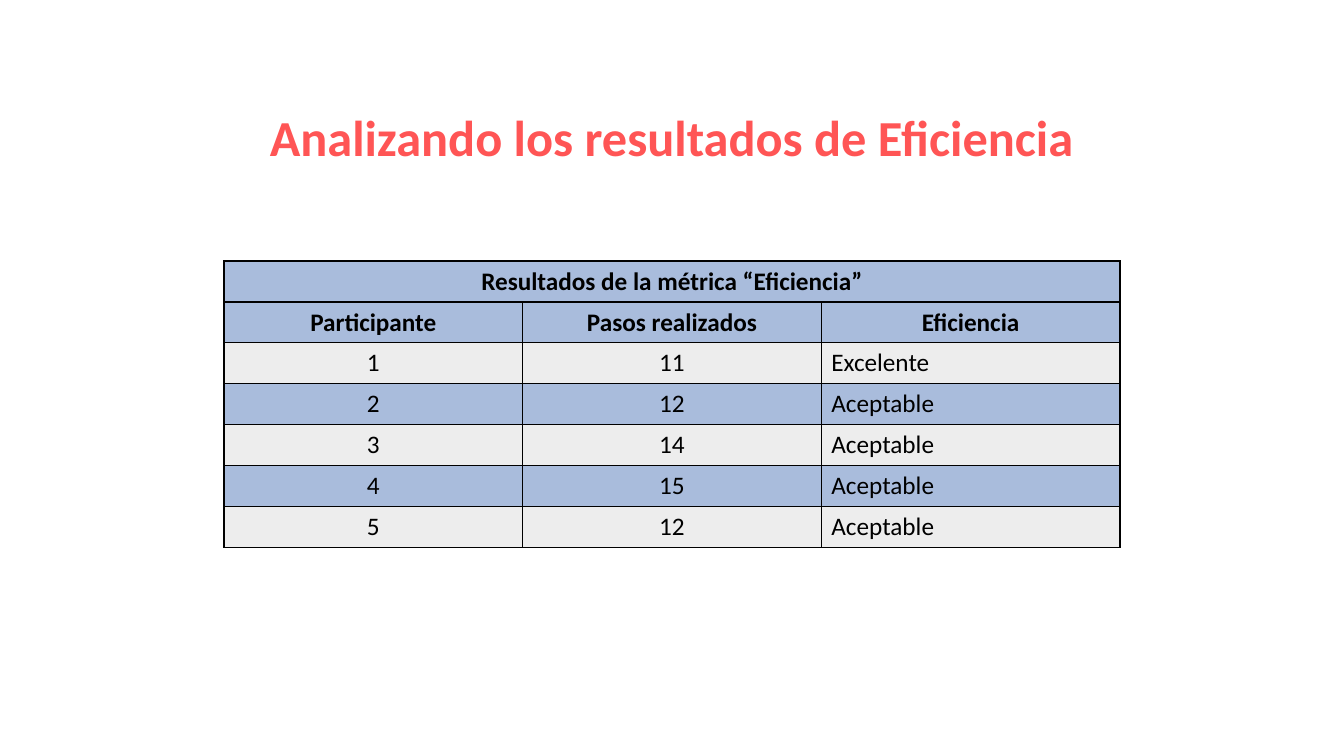
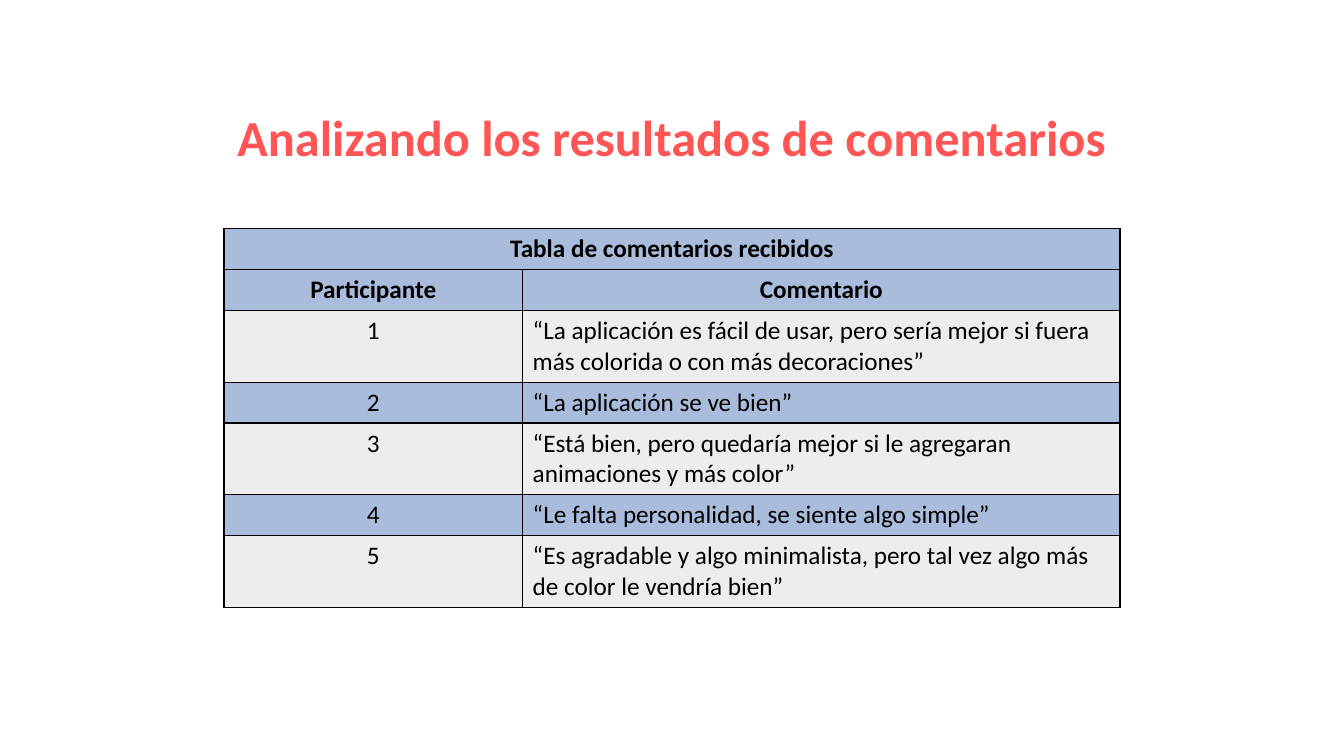
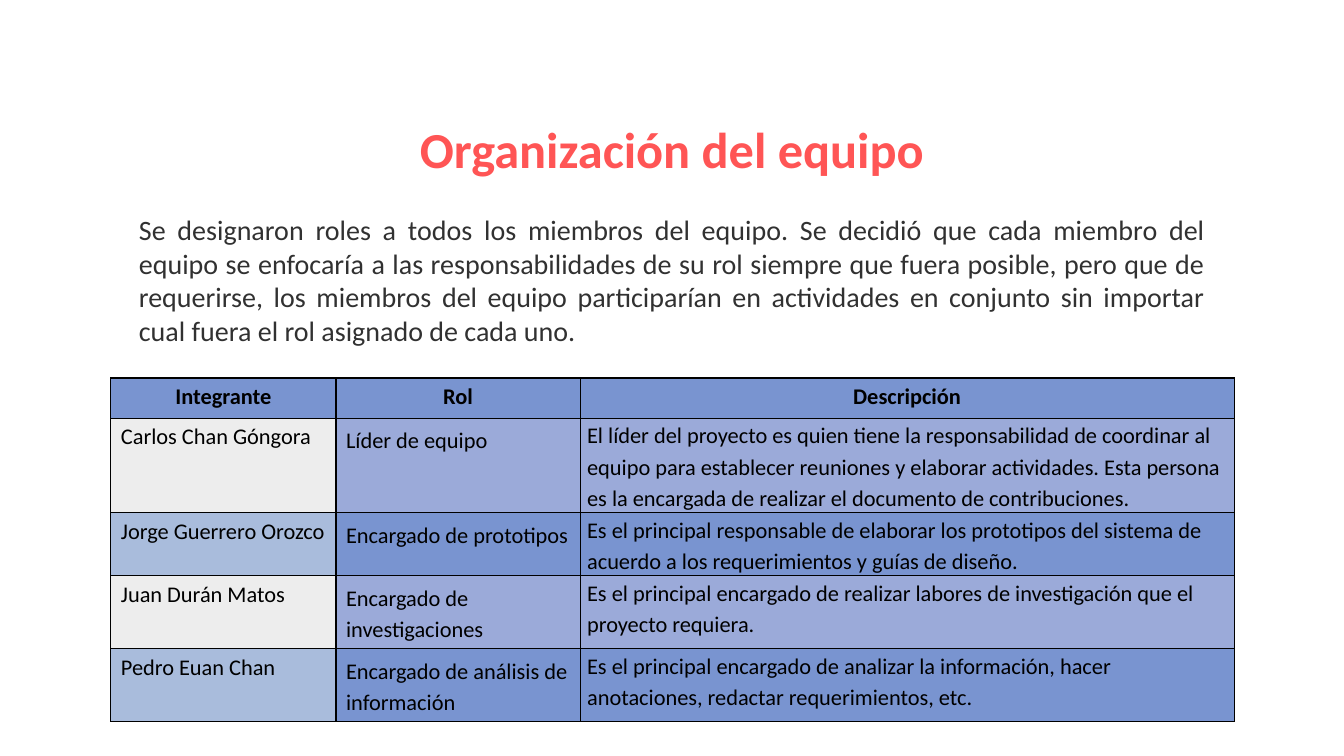
import dataclasses
import pptx
import pptx.dml.color
import pptx.enum.text
import pptx.oxml
import pptx.oxml.ns
import pptx.util

ALIGN = pptx.enum.text.PP_ALIGN
PLAIN = ("EDEDED", "A9BCDC")
BLUE = ("9BAAD9", "7994D0")


def tint(code):
    return pptx.dml.color.RGBColor.from_string(code)


@dataclasses.dataclass
class Col:
    """Width in grid columns and the look of the cells below the header."""
    width: float
    align: ALIGN = ALIGN.LEFT
    bands: tuple = PLAIN
    lead: float = 1.0
    tight: bool = False


class Deck:
    """Holds the style and the current slide; lengths are grid units."""
    COLS, ROWS = 12, 30
    FONT, RED, GREY, BLACK = "Calibri", "FF5555", "313131", "000000"
    ROW = 1.6

    def __init__(self):
        self.prs = pptx.Presentation()
        self.prs.slide_width = pptx.util.Inches(13.33)
        self.prs.slide_height = pptx.util.Inches(7.5)
        self.slide = None

    def x(self, cols):
        return round(self.prs.slide_width * cols / self.COLS)

    def y(self, rows):
        return round(self.prs.slide_height * rows / self.ROWS)

    def box(self, left, top, width, height):
        return self.x(left), self.y(top), self.x(width), self.y(height)

    def label(self, frame, text, size, color, align, bold=False):
        frame.text = text
        para = frame.paragraphs[0]
        para.alignment = align
        font = para.font
        font.name, font.size, font.bold = self.FONT, pptx.util.Pt(size), bold
        font.color.rgb = tint(color)
        return para

    def place(self, holder, area, *style):
        holder.left, holder.top, holder.width, holder.height = self.box(*area)
        frame = holder.text_frame
        frame.auto_size = pptx.enum.text.MSO_AUTO_SIZE.NONE
        return self.label(frame, *style)

    # Slide with its title; the layout decides whether there is a body
    def page(self, title, top=4, layout=5):
        self.slide = self.prs.slides.add_slide(self.prs.slide_layouts[layout])
        self.place(self.slide.shapes.title, (1, top, 10, 2.84),
                   title, 36, self.RED, ALIGN.CENTER, True)

    # Justified paragraph without a bullet
    def body(self, text, *area):
        para = self.place(self.slide.placeholders[1], area,
                          text, 20, self.GREY, ALIGN.JUSTIFY)
        para.space_before = pptx.util.Pt(0)
        props = para._p.get_or_add_pPr()
        props.set("marL", "0")
        props.set("indent", "0")
        props.insert_element_before(
            pptx.oxml.parse_xml(
                f'<a:buNone {pptx.oxml.ns.nsdecls("a")}/>'),
            "a:tabLst", "a:defRPr", "a:extLst")

    # Thin black border on all four sides
    def edge(self, cell):
        props = cell._tc.get_or_add_tcPr()
        for side in "LRTB":
            props.append(pptx.oxml.parse_xml(
                f'<a:ln{side} {pptx.oxml.ns.nsdecls("a")} w="12700">'
                f'<a:solidFill><a:srgbClr val="{self.BLACK}"/></a:solidFill>'
                f'</a:ln{side}>'))

    # Table: header rows first, then banded rows; a caption spans all columns
    def table(self, left, top, cols, head, rows, size=18,
              shade=PLAIN[1], caption=None):
        heads = [head]
        if caption:
            heads.insert(0, [caption] + [""] * (len(cols) - 1))
        data = heads + rows
        wide = sum(col.width for col in cols)
        grid = self.slide.shapes.add_table(
            len(data), len(cols),
            *self.box(left, top, wide, self.ROW * len(data))).table
        grid.first_row = grid.horz_banding = False
        for col, part in zip(cols, grid.columns):
            part.width = self.x(col.width)
        for r, line in enumerate(data):
            grid.rows[r].height = self.y(self.ROW)
            band = r - len(heads)
            for c, (col, text) in enumerate(zip(cols, line)):
                cell = grid.cell(r, c)
                top_row = band < 0
                para = self.label(cell.text_frame, text, size, self.BLACK,
                                  ALIGN.CENTER if top_row else col.align,
                                  top_row)
                if not top_row and col.lead != 1:
                    para.line_spacing = col.lead
                if not top_row and col.tight:
                    cell.margin_left = cell.margin_right = pptx.util.Inches(0.07)
                    cell.margin_top = cell.margin_bottom = 0
                self.edge(cell)
                cell.fill.solid()
                cell.fill.fore_color.rgb = tint(
                    shade if top_row else col.bands[band % 2])
        if caption:
            grid.cell(0, 0).merge(grid.cell(0, len(cols) - 1))


def main():
    deck = Deck()
    third = 8 / 3

    # Efficiency results
    deck.page("Analizando los resultados de Eficiencia")
    steps = [11, 12, 14, 15, 12]
    deck.table(
        2, 10.36,
        [Col(third, ALIGN.CENTER), Col(third, ALIGN.CENTER), Col(third)],
        ["Participante", "Pasos realizados", "Eficiencia"],
        [[str(n), str(step), "Excelente" if step < 12 else "Aceptable"]
         for n, step in enumerate(steps, 1)],
        caption="Resultados de la métrica “Eficiencia”")

    # Comments received
    deck.page("Analizando los resultados de comentarios")
    notes = [
        "“La aplicación es fácil de usar, pero sería mejor si fuera más "
        "colorida o con más decoraciones”",
        "“La aplicación se ve bien”",
        "“Está bien, pero quedaría mejor si le agregaran animaciones y más "
        "color”",
        "“Le falta personalidad, se siente algo simple”",
        "“Es agradable y algo minimalista, pero tal vez algo más de color le "
        "vendría bien”",
    ]
    deck.table(
        2, 9.08, [Col(third, ALIGN.CENTER), Col(2 * third)],
        ["Participante", "Comentario"],
        [[str(n), note] for n, note in enumerate(notes, 1)],
        caption="Tabla de comentarios recibidos")

    # Team roles
    deck.page("Organización del equipo", top=4.48, layout=1)
    deck.body(
        "Se designaron roles a todos los miembros del equipo. Se decidió que "
        "cada miembro del equipo se enfocaría a las responsabilidades de su "
        "rol siempre que fuera posible, pero que de requerirse, los miembros "
        "del equipo participarían en actividades en conjunto sin importar "
        "cual fuera el rol asignado de cada uno.",
        1.15, 8.24, 9.7, 5.8)
    deck.table(
        0.99, 15,
        [Col(2.01), Col(2.18, bands=BLUE, lead=1.15),
         Col(5.84, bands=BLUE, lead=1.15, tight=True)],
        ["Integrante", "Rol", "Descripción"],
        [["Carlos Chan Góngora", "Líder de equipo",
          "El líder del proyecto es quien tiene la responsabilidad de "
          "coordinar al equipo para establecer reuniones y elaborar "
          "actividades. Esta persona es la encargada de realizar el "
          "documento de contribuciones."],
         ["Jorge Guerrero Orozco", "Encargado de prototipos",
          "Es el principal responsable de elaborar los prototipos del "
          "sistema de acuerdo a los requerimientos y guías de diseño."],
         ["Juan Durán Matos", "Encargado de investigaciones",
          "Es el principal encargado de realizar labores de investigación "
          "que el proyecto requiera."],
         ["Pedro Euan Chan", "Encargado de análisis de información",
          "Es el principal encargado de analizar la información, hacer "
          "anotaciones, redactar requerimientos, etc."]],
        size=16, shade=BLUE[1])

    deck.prs.save("out.pptx")


if __name__ == "__main__":
    main()
